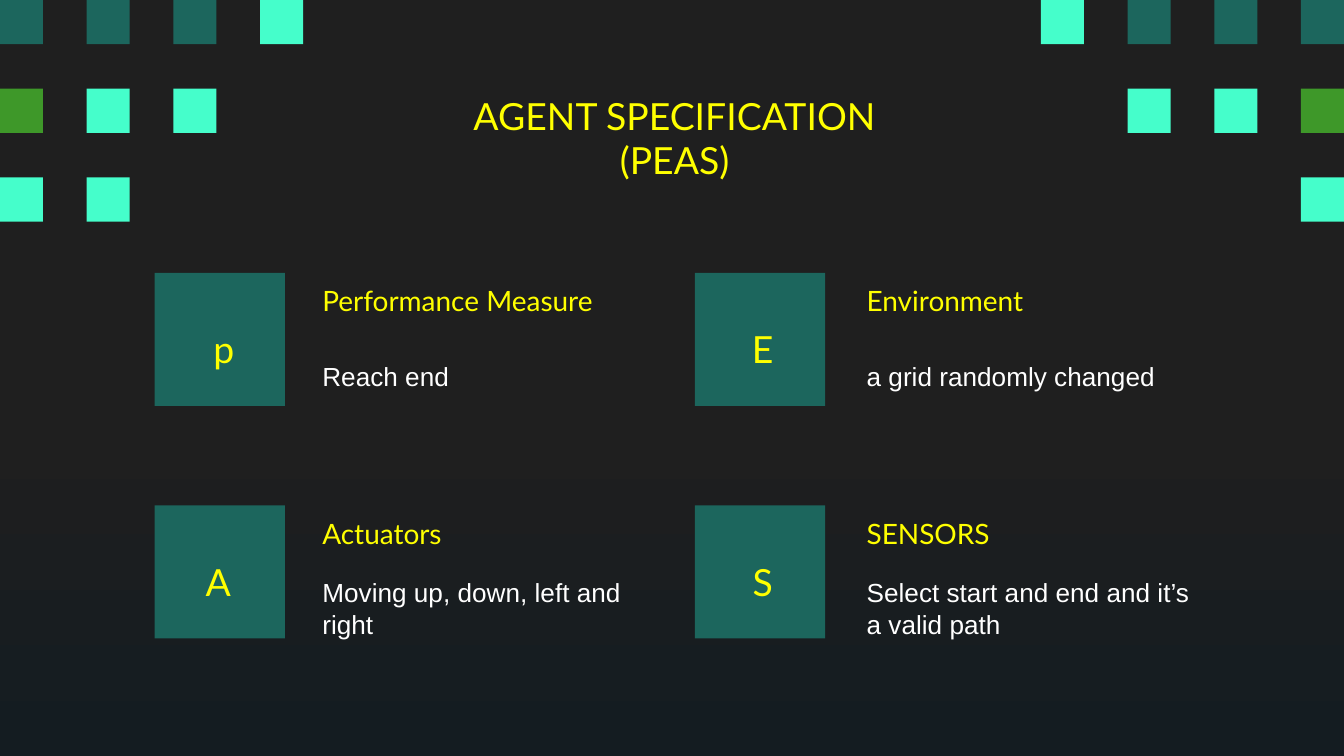
from dataclasses import dataclass

import pptx
import pptx.dml.color
import pptx.enum.shapes
import pptx.enum.text
import pptx.util
from pptx.dml.color import RGBColor
from pptx.util import Inches

CHARCOAL = RGBColor(0x1F, 0x1F, 0x1F)
NIGHT = RGBColor(0x14, 0x1C, 0x21)
TEAL = RGBColor(0x1C, 0x66, 0x5D)
MINT = RGBColor(0x45, 0xFE, 0xCB)
GREEN = RGBColor(0x3E, 0x98, 0x29)
YELLOW = RGBColor(0xFF, 0xFF, 0x00)
WHITE = RGBColor(0xFF, 0xFF, 0xFF)

# Corner squares, each row listed from the slide edge inwards
LEFT_ROWS = [[TEAL, TEAL, TEAL, MINT], [GREEN, MINT, MINT], [MINT, MINT]]
RIGHT_ROWS = [[TEAL, TEAL, TEAL, MINT], [GREEN, MINT, MINT], [MINT]]
SQUARE_WIDTH, SQUARE_HEIGHT = 0.32, 0.33
COLUMN_STEP, ROW_STEP = 1.29 / 2, 0.66


@dataclass
class Quadrant:
    letter: str
    heading: str
    body: str
    tile_left: float
    tile_top: float
    text_left: float
    letter_offset: float = 0.23


QUADRANTS = [
    Quadrant("p", "Performance Measure", "Reach end", 1.15, 2.03, 2.3, 0.24),
    Quadrant("E", "Environment", "a grid randomly changed", 5.17, 2.03, 6.35),
    Quadrant("A", "Actuators", "Moving up, down, left and right", 1.15, 3.76, 2.3, 0.2),
    Quadrant("S", "SENSORS", "Select start and end and it’s a valid path", 5.17, 3.76, 6.35),
]


def add_block(slide, left: float, top: float, width: float, height: float,
              color: RGBColor) -> None:
    shape = slide.shapes.add_shape(
        pptx.enum.shapes.MSO_SHAPE.RECTANGLE,
        Inches(left), Inches(top), Inches(width), Inches(height))
    shape.shadow.inherit = False
    shape.fill.solid()
    shape.fill.fore_color.rgb = color
    shape.line.fill.background()


def add_text(slide, text: str, left: float, top: float, width: float, height: float, *,
             size: int, font: str = "Lato", color: RGBColor = YELLOW,
             centered: bool = False) -> None:
    """Centered text hangs from the top; other text sits in the middle."""
    text_frame = slide.shapes.add_textbox(
        Inches(left), Inches(top), Inches(width), Inches(height)).text_frame
    text_frame.word_wrap = True
    text_frame.margin_top = text_frame.margin_bottom = Inches(0.1)
    text_frame.margin_left = Inches(0.05 if centered else 0.1)
    text_frame.margin_right = Inches(0 if centered else 0.1)
    anchors = pptx.enum.text.MSO_ANCHOR
    text_frame.vertical_anchor = anchors.TOP if centered else anchors.MIDDLE
    paragraph = text_frame.paragraphs[0]
    alignments = pptx.enum.text.PP_ALIGN
    paragraph.alignment = alignments.CENTER if centered else alignments.LEFT
    paragraph.text = text
    for run in paragraph.runs:
        run.font.size = pptx.util.Pt(size)
        run.font.name = font
        run.font.color.rgb = color


def add_corner(slide, rows: list[list[RGBColor]], start: float, step: float) -> None:
    for row, colors in enumerate(rows):
        for column, color in enumerate(colors):
            add_block(slide, start + column * step, row * ROW_STEP,
                      SQUARE_WIDTH, SQUARE_HEIGHT, color)


def add_quadrant(slide, quadrant: Quadrant) -> None:
    left, top = quadrant.tile_left, quadrant.tile_top
    add_block(slide, left, top, 0.97, 0.99, TEAL)
    add_text(slide, quadrant.letter, left + quadrant.letter_offset, top + 0.3, 0.5, 0.4,
             size=20, centered=True)
    add_text(slide, quadrant.heading, quadrant.text_left, top - 0.04, 2.95, 0.49, size=15)
    add_text(slide, quadrant.body, quadrant.text_left, top + 0.45, 2.65, 0.63,
             size=14, font="Arial", color=WHITE)


def main() -> None:
    # A 16:9 slide
    presentation = pptx.Presentation()
    presentation.slide_width = Inches(10)
    presentation.slide_height = Inches(10) * 9 // 16
    slide = presentation.slides.add_slide(presentation.slide_layouts[6])

    # Background: flat charcoal that darkens towards the bottom
    fill = slide.background.fill
    fill.gradient()
    fill.gradient_angle = 270
    for stop, position, color in zip(fill.gradient_stops, (0.56, 1), (CHARCOAL, NIGHT)):
        stop.position = position
        stop.color.rgb = color

    # Corner decoration
    add_corner(slide, LEFT_ROWS, 0, COLUMN_STEP)
    add_corner(slide, RIGHT_ROWS, 10 - SQUARE_WIDTH, -COLUMN_STEP)

    # Title and the four parts of the specification
    add_text(slide, "AGENT SPECIFICATION\n(PEAS)", 0.78, 0.59, 8.43, 0.36,
             size=20, centered=True)
    for quadrant in QUADRANTS:
        add_quadrant(slide, quadrant)

    presentation.save("out.pptx")


if __name__ == "__main__":
    main()
